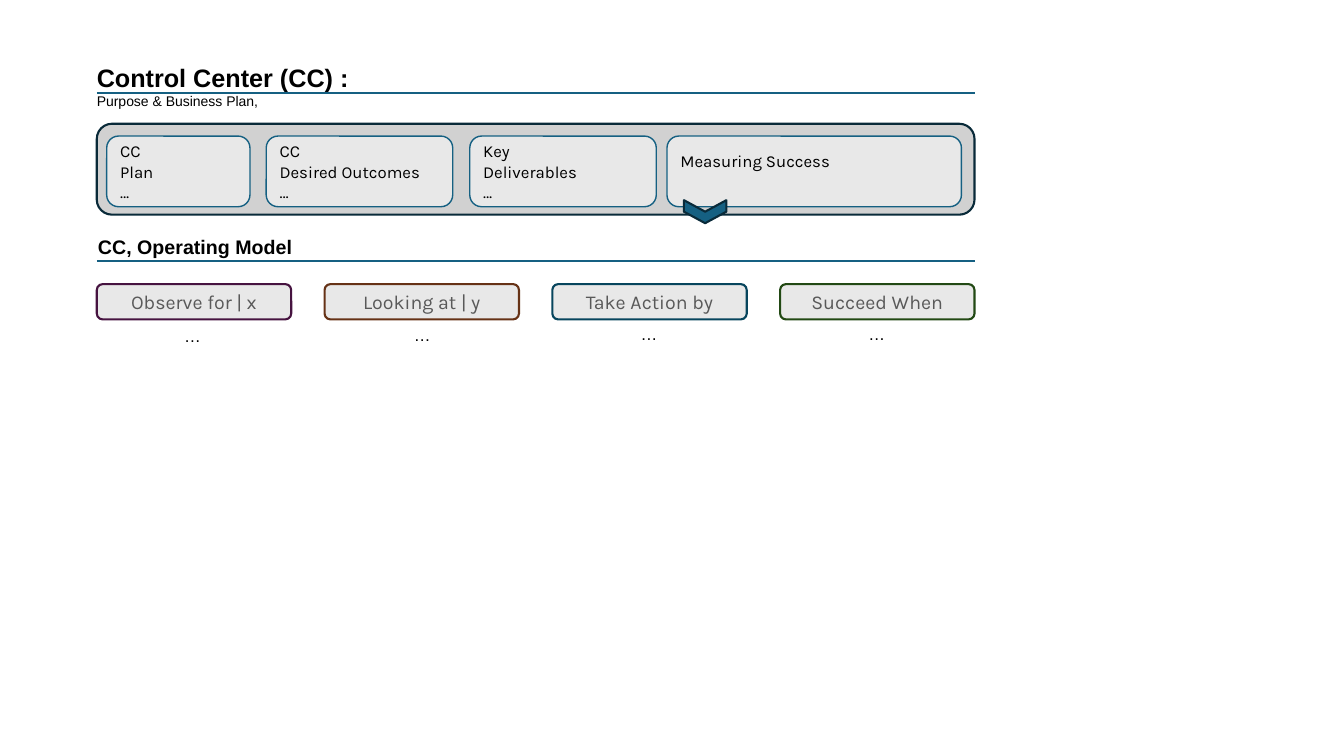
from pptx import Presentation
from pptx.dml.color import RGBColor
from pptx.enum.shapes import MSO_CONNECTOR, MSO_SHAPE
from pptx.enum.text import MSO_ANCHOR, PP_ALIGN
from pptx.util import Cm, Pt
from lxml import etree

ROUNDED, CHEVRON = MSO_SHAPE.ROUNDED_RECTANGLE, MSO_SHAPE.CHEVRON
STRAIGHT = MSO_CONNECTOR.STRAIGHT
LEFT, CENTER = PP_ALIGN.LEFT, PP_ALIGN.CENTER
TOP, MIDDLE = MSO_ANCHOR.TOP, MSO_ANCHOR.MIDDLE
A = "http://schemas.openxmlformats.org/drawingml/2006/main"

COLORS = {
    "black": "000000", "grey_text": "595959",
    "panel": "D1D1D1", "card": "E8E8E8",
    "blue": "156082", "navy": "092A39",
    "purple": "461340", "brown": "663216", "teal": "07455D", "green": "224914",
}
C = {name: RGBColor.from_string(value) for name, value in COLORS.items()}

prs = Presentation()
prs.slide_width, prs.slide_height = Cm(33.87), Cm(19.05)
s = prs.slides.add_slide(prs.slide_layouts[6])


def add_box(kind, x, y, w, h, fill, line, width):
    sp = s.shapes.add_shape(kind, Cm(x), Cm(y), Cm(w), Cm(h))
    sp.shadow.inherit = False
    sp.fill.solid()
    sp.fill.fore_color.rgb = C[fill]
    sp.line.color.rgb = C[line]
    sp.line.width = Pt(width)
    return sp


def write(sp, text, font, size, color="black", align=LEFT, anchor=TOP):
    tf = sp.text_frame
    tf.word_wrap = True
    tf.vertical_anchor = anchor
    tf.text = text
    for p in tf.paragraphs:
        p.alignment = align
        for r in p.runs:
            r.font.name = font
            r.font.size = Pt(size)
            r.font.color.rgb = C[color]
    return tf


left, width = 2.44, 22.12

sp = s.shapes.add_textbox(Cm(2.19), Cm(1.45), Cm(16.94), Cm(1.45))
tf = write(sp, "Control Center (CC) :\nPurpose & Business Plan,", "Arial", 18)
tf.paragraphs[0].runs[0].font.bold = True
tf.paragraphs[1].runs[0].font.size = Pt(10)

sp = s.shapes.add_textbox(Cm(2.22), Cm(5.79), Cm(5.94), Cm(0.86))
tf = write(sp, "CC, Operating Model", "Arial", 14)
tf.paragraphs[0].runs[0].font.bold = True

buttons = [
    ("Observe for | x", "purple", 4.27, 8.08),
    ("Looking at | y", "brown", 10.06, 8.05),
    ("Take Action by", "teal", 15.77, 8.03),
    ("Succeed When", "green", 21.51, 8.03),
]
button_w = 4.9
pitch = (width - button_w) / (len(buttons) - 1)
for i, (label, line, dots_x, dots_y) in enumerate(buttons):
    sp = add_box(ROUNDED, left + i * pitch, 7.16, button_w, 0.89, "card", line, 1.5)
    write(sp, label, "Karla", 14, "grey_text", CENTER, MIDDLE)
    sp = s.shapes.add_textbox(Cm(dots_x), Cm(dots_y), Cm(1.17), Cm(0.76))
    write(sp, "…", "Arial", 12, align=CENTER)

add_box(ROUNDED, left, 3.12, width, 2.29, "panel", "navy", 1.5)
cards = [
    ("CC\nPlan\n…", 2.69, 3.61),
    ("CC\nDesired Outcomes\n…", 6.71, 4.7),
    ("Key\nDeliverables\n…", 11.84, 4.7),
    ("Measuring Success", 16.81, 7.42),
]
for text, x, w in cards:
    sp = add_box(ROUNDED, x, 3.43, w, 1.78, "card", "blue", 1)
    tf = write(sp, text, "Karla", 12, anchor=MIDDLE)
tf.margin_bottom = Cm(0.64)

for y in (2.34, 6.58):
    rule = s.shapes.add_connector(STRAIGHT, Cm(left), Cm(y), Cm(left + width), Cm(y))
    rule.line.color.rgb = C["blue"]
    rule.line.width = Pt(1.5)
    etree.SubElement(rule._element.spPr, f"{{{A}}}effectLst")

sp = add_box(CHEVRON, 17.48, 4.8, 0.58, 1.07, "blue", "navy", 1.5)
sp.rotation = 90

prs.save("out.pptx")
